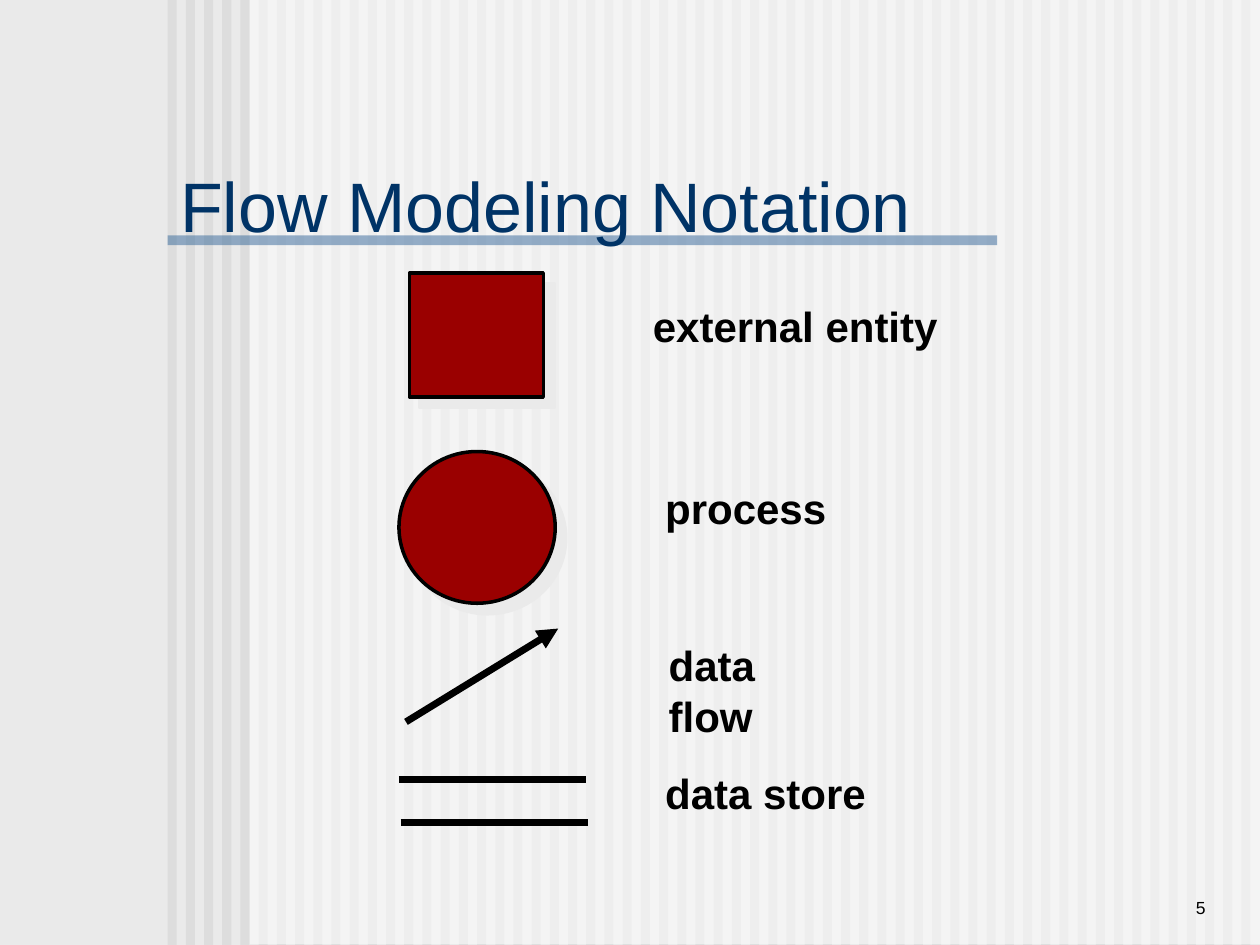
from pptx import Presentation
from pptx.dml.color import RGBColor
from pptx.enum import shapes, text
from pptx.oxml import ns, xmlchemy as xc
from pptx.util import Pt

WIDE, HIGH = 720, 540
BACK, STRIPE, RED, BLACK = "EAEAEA", "DDDDDD", "9A0000", "000000"
FIRST, STEP, COUNT = 95.8, 10.4, 60
BOX, OVAL = shapes.MSO_SHAPE.RECTANGLE, shapes.MSO_SHAPE.OVAL

PANELS = [
    ((142.8, 0, 577.2, 539.5), "FFFFFF"),
    ((95.8, 134.5, 474, 5.6), "336699"),
]
TITLE = ("Flow Modeling Notation", (95.8, 84.2, 508.3, 64.8))
SYMBOLS = [
    (BOX, (234, 156, 76.5, 71)),
    (OVAL, (228, 258, 89.3, 86.7)),
]
LINES = [
    ((232, 412.5), (319, 359.2), True),
    ((228, 445.2), (335, 445.2), False),
    ((229, 470.2), (336, 470.2), False),
]
LABELS = [
    ("external entity", (366, 168, 177, 36)),
    ("process", (373, 272, 106.5, 36)),
    ("data flow", (375, 362, 118, 36)),
    ("data store", (373, 435, 129, 36)),
]
NUMBER = ("5", (594, 492, 102, 36))

deck = Presentation()
deck.slide_width, deck.slide_height = Pt(WIDE), Pt(HIGH)
slide = deck.slides.add_slide(deck.slide_layouts[6])


def color(code):
    return RGBColor.from_string(code)


def place(area):
    return [Pt(n) for n in area]


def child(node, tag, **attrs):
    part = xc.OxmlElement(tag)
    for key, val in attrs.items():
        part.set(key, str(val))
    node.append(part)
    return part


def draw(kind, area, fill, edge=None, alpha=None):
    shape = slide.shapes.add_shape(kind, *place(area))
    shape.shadow.inherit = False
    shape.fill.solid()
    shape.fill.fore_color.rgb = color(fill)
    if edge:
        shape.line.color.rgb = color(edge)
        shape.line.width = Pt(2)
    else:
        shape.line.fill.background()
    if alpha:
        tint = shape.element.spPr.find(".//" + ns.qn("a:srgbClr"))
        child(tint, "a:alpha", val=alpha * 1000)
    return shape


def shade(shape):
    group = shape.element.spPr.find(ns.qn("a:effectLst"))
    cast = child(group, "a:outerShdw", dist=Pt(8.5), dir=45 * 60000,
                 algn="ctr", rotWithShape=0)
    child(cast, "a:srgbClr", val=BACK)


def link(start, end, arrow):
    line = slide.shapes.add_connector(
        shapes.MSO_CONNECTOR.STRAIGHT, *place(start + end))
    line.line.color.rgb = color(BLACK)
    line.line.width = Pt(4)
    if arrow:
        child(line.line._get_or_add_ln(), "a:tailEnd", type="triangle")
    child(line.element.spPr, "a:effectLst")


def write(words, area, size=24, tint=BLACK, bold=False, wrap=True,
          anchor=text.MSO_ANCHOR.TOP, align=text.PP_ALIGN.LEFT):
    frame = slide.shapes.add_textbox(*place(area)).text_frame
    frame.word_wrap = wrap
    frame.vertical_anchor = anchor
    if not wrap:
        frame.auto_size = text.MSO_AUTO_SIZE.SHAPE_TO_FIT_TEXT
    para = frame.paragraphs[0]
    para.alignment = align
    run = para.add_run()
    run.text = words
    run.font.name, run.font.size, run.font.bold = "Arial", Pt(size), bold
    run.font.color.rgb = color(tint)


slide.background.fill.solid()
slide.background.fill.fore_color.rgb = color(BACK)
for i in range(COUNT):
    draw(BOX, (FIRST + i * STEP, 0, STEP / 2, HIGH), STRIPE)
for area, fill in PANELS:
    draw(BOX, area, fill, alpha=50)
write(*TITLE, size=40, tint="003366", anchor=text.MSO_ANCHOR.MIDDLE)
for kind, area in SYMBOLS:
    shade(draw(kind, area, RED, edge=BLACK))
for start, end, arrow in LINES:
    link(start, end, arrow)
for words, area in LABELS:
    write(words, area, bold=True, wrap=False)
write(*NUMBER, size=10, anchor=text.MSO_ANCHOR.BOTTOM,
      align=text.PP_ALIGN.RIGHT)

deck.save("out.pptx")
